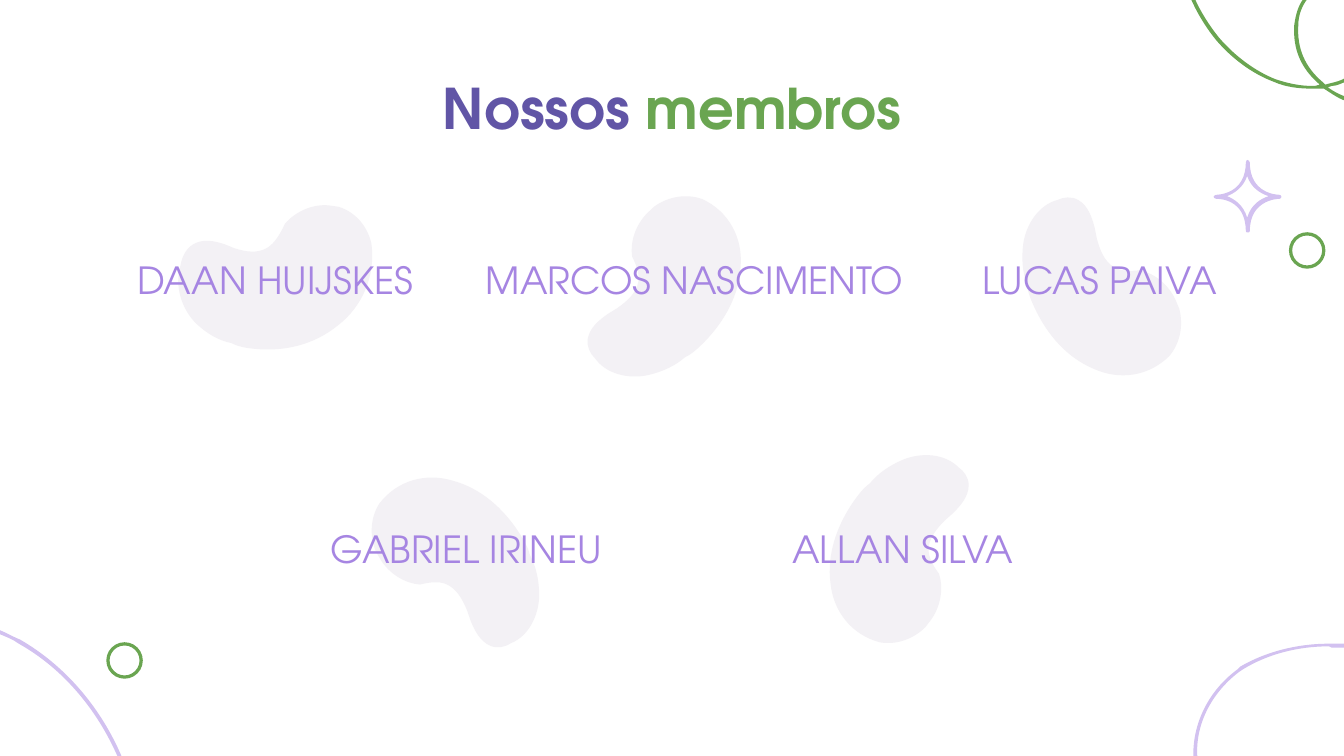
from lxml import etree
from pptx import Presentation
from pptx.dml.color import RGBColor
from pptx.enum.shapes import MSO_SHAPE
from pptx.enum.text import MSO_ANCHOR, MSO_AUTO_SIZE, PP_ALIGN
from pptx.oxml.ns import qn
from pptx.util import Cm, Pt

DONUT = MSO_SHAPE.DONUT
MIDDLE = MSO_ANCHOR.MIDDLE
NO_FIT = MSO_AUTO_SIZE.NONE
CENTER = PP_ALIGN.CENTER

FONT = "TeX Gyre Adventor"
PURPLE, GREEN, LILAC, LAVENDER, MIST = "6155A6", "6AA551", "A685E2", "D2C1F0", "F3F1F5"
UNIT = Cm(0.0254)
TITLE = [("Nossos ", PURPLE), ("membros", GREEN)]
LABEL_H = 1.52
ROW_TOPS = [4.52, 9.6]

# name, row, label left and width, bean centre, bean size, bean rotation
MEMBERS = [
    ("DAAN HUIJSKES", 0, 2.03, 6.35, (5.22, 5.16), (3.58, 3.1), 17.7),
    ("MARCOS NASCIMENTO", 0, 7.82, 10.62, (12.52, 5.44), (3.67, 2.69), 324.8),
    ("LUCAS PAIVA", 0, 15.47, 10.62, (20.79, 5.44), (3.67, 2.69), 75.2),
    ("GABRIEL IRINEU", 1, 5.64, 6.35, (8.64, 10.62), (3.67, 2.69), 247.5),
    ("ALLAN SILVA", 1, 13.89, 6.35, (17.08, 10.36), (3.67, 2.69), 135),
]
RINGS = [(2.01, 12.14), (24.36, 4.39)]
RING_SIZE = 0.69

BEAN_FRAME = (-72, -53, 72, 53)
BEAN = [[
    (30, -53), (23, -52), (11, -50, 0, -42, -5, -32), (-6, -25, -8, -18, -12, -14),
    (-18, -8, -27, -7, -36, -7), (-44, -7.5), (-52, -7.5, -61, -7, -67, -1),
    (-71, 3, -72, 9, -71, 14), (-71, 28, -60, 41, -46, 47), (-36, 51, -26, 53, -16, 52),
    (-10, 53, -4, 52, 2, 51), (24, 47, 44, 37, 57, 20), (70, 4, 73, -18, 62, -37),
    (55, -47, 43, -53, 30, -53),
]]
STAR = [
    [(928, 131), (931, 140, 938, 144, 944, 146), (938, 148, 931, 152, 928, 162),
     (925, 152, 918, 148, 913, 146), (918, 144, 925, 140, 928, 131)],
    [(928, 119), (928, 119, 927, 120, 927, 121), (927, 144, 907, 145, 905, 145),
     (904, 145, 903, 146, 903, 146.5), (903, 147, 904, 148, 905, 148),
     (907, 148, 927, 148, 927, 172), (927, 173, 928, 173, 928.5, 173),
     (929, 173, 930, 173, 930, 172), (930, 149, 950, 148, 952, 148),
     (953, 148, 953.5, 147, 953.5, 146.5), (953.5, 146, 953, 145, 952, 145),
     (950, 145, 930, 144, 930, 121), (930, 120, 929, 119, 928, 119)],
]
LEFT_ARC = [[
    (0, 469), (0, 472), (5, 474, 10, 476, 14, 479), (46, 497, 72, 527, 88, 564),
    (91, 564), (75, 526, 48, 495, 15, 476), (10, 474, 5, 471, 0, 469),
]]
RIGHT_ARC = [[
    (989, 479), (965, 479, 942, 485, 923, 496), (921, 498), (899, 514, 887, 539, 888, 564),
    (891, 564), (889, 540, 901, 516, 922, 500), (925, 498), (943, 487, 965, 481, 989, 481),
    (991, 482), (1000, 482), (1000, 479),
]]
TOP_LOOPS = [[
    (1001, 75), (1001, 72), (996, 70, 992, 68, 988, 65), (991, 64), (995, 64, 998, 62, 1001, 61),
    (1001, 58), (998, 60, 994, 61, 990, 62), (986, 63), (984, 61), (971, 50, 965, 36, 966, 19),
    (966, 11, 969, 4, 973, -1), (970, -1), (966, 4, 964, 11, 963, 19), (962, 37, 968, 51, 982, 63),
    (980, 64, 978, 64, 976, 64), (967, 64, 958, 62, 949, 59), (934, 53, 919, 42, 907, 28),
    (899, 18, 893, 8, 889, -1), (886, -1), (890, 8, 896, 19, 905, 30),
    (917, 44, 932, 55, 948, 61), (957, 65, 967, 66, 976, 66), (979, 66, 982, 66, 985, 66),
    (990, 69, 995, 73, 1001, 75),
]]
DECOR = [
    (STAR, (903, 119, 953, 173), LAVENDER),
    (LEFT_ARC, (0, 469, 91, 564), LAVENDER),
    (RIGHT_ARC, (887, 479, 1000, 564), LAVENDER),
    (TOP_LOOPS, (886, -1, 1001, 75), GREEN),
]


def rgb(value):
    return RGBColor.from_string(value)


def paint(shape, color):
    shape.shadow.inherit = False
    shape.fill.solid()
    shape.fill.fore_color.rgb = rgb(color)
    shape.line.fill.background()


def add_outline(s, contours, frame, color):
    left, top, right, bottom = (v * UNIT for v in frame)
    builder = s.shapes.build_freeform(left, top)
    builder.add_line_segments([(right, top), (right, bottom)])
    shape = builder.convert_to_shape()
    outline = shape.element.find(".//" + qn("a:path"))
    del outline[:]
    for contour in contours:
        for i, seg in enumerate(contour):
            tag = "a:moveTo" if i == 0 else "a:lnTo" if len(seg) == 2 else "a:cubicBezTo"
            step = etree.SubElement(outline, qn(tag))
            for x, y in zip(seg[::2], seg[1::2]):
                etree.SubElement(step, qn("a:pt"), x=str(round(x * UNIT - left)),
                                 y=str(round(y * UNIT - top)))
        etree.SubElement(outline, qn("a:close"))
    paint(shape, color)
    return shape


def place(shape, left, top, width, height):
    shape.left, shape.top, shape.width, shape.height = map(Cm, (left, top, width, height))


def write(shape, runs, size, bold=False):
    tf = shape.text_frame
    tf.word_wrap = True
    tf.auto_size = NO_FIT
    tf.vertical_anchor = MIDDLE
    tf.margin_left = tf.margin_right = tf.margin_top = tf.margin_bottom = Cm(0.25)
    p = tf.paragraphs[0]
    p.alignment = CENTER
    for text, color in runs:
        r = p.add_run()
        r.text = text
        r.font.name, r.font.size, r.font.bold = FONT, Pt(size), bold
        r.font.color.rgb = rgb(color)


def main():
    """Build the team members slide."""
    prs = Presentation()
    prs.slide_width, prs.slide_height = Cm(25.4), Cm(14.29)
    s = prs.slides.add_slide(prs.slide_layouts[5])
    for contours, frame, color in DECOR:
        add_outline(s, contours, frame, color)
    for left, top in RINGS:
        ring = s.shapes.add_shape(DONUT, Cm(left), Cm(top), Cm(RING_SIZE), Cm(RING_SIZE))
        ring.adjustments[0] = 0.09
        paint(ring, GREEN)
    place(s.shapes.title, 2.03, 1.27, 21.34, LABEL_H)
    write(s.shapes.title, TITLE, 30, True)
    for name, row, left, width, (cx, cy), (w, h), angle in MEMBERS:
        bean = add_outline(s, BEAN, BEAN_FRAME, MIST)
        place(bean, cx - w / 2, cy - h / 2, w, h)
        bean.rotation = angle
    for name, row, left, width, *_ in MEMBERS:
        label = s.shapes.add_textbox(Cm(left), Cm(ROW_TOPS[row]), Cm(width), Cm(LABEL_H))
        write(label, [(name, LILAC)], 20)
    prs.save("out.pptx")


if __name__ == "__main__":
    main()
